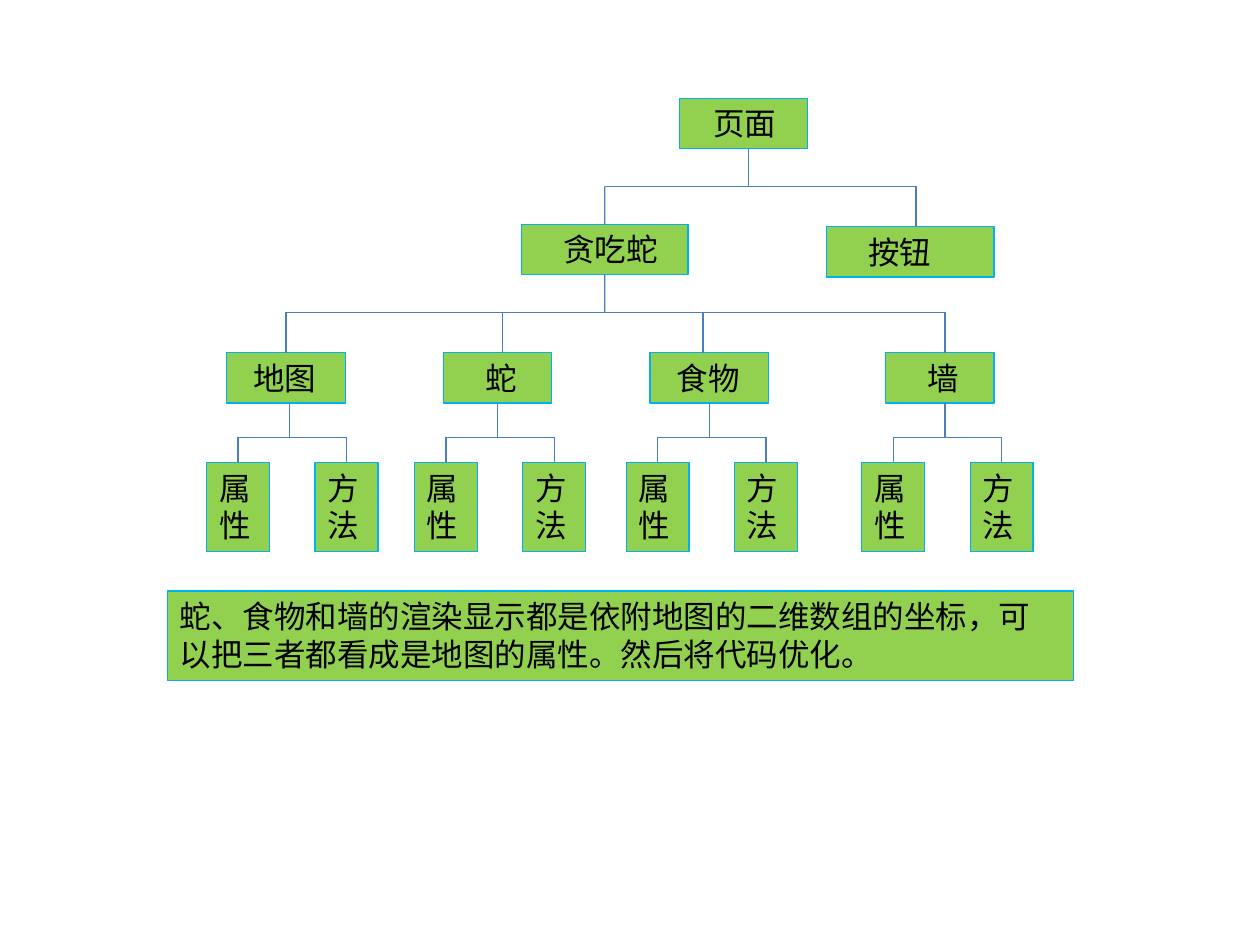
from lxml import etree
from pptx import Presentation
from pptx.dml.color import RGBColor
from pptx.enum.shapes import MSO_CONNECTOR, MSO_SHAPE
from pptx.enum.text import MSO_ANCHOR, PP_ALIGN
from pptx.oxml.ns import qn
from pptx.util import Inches, Pt

RECTANGLE = MSO_SHAPE.RECTANGLE
STRAIGHT = MSO_CONNECTOR.STRAIGHT
LEFT, TOP_ANCHOR = PP_ALIGN.LEFT, MSO_ANCHOR.TOP
TOP, BOTTOM = 0, 2  # connection sites of a rectangle
COLORS = {"fill": "92D050", "border": "00B0F0", "line": "4B7EBC", "text": "000000"}
NODE_HEIGHT, TALL_HEIGHT = 0.4, 0.71

presentation = Presentation()
presentation.slide_width, presentation.slide_height = Inches(10), Inches(7.5)
slide = presentation.slides.add_slide(presentation.slide_layouts[6])


def add_box(text, left, top, width, height=NODE_HEIGHT, inset=0.1, size=18, font="Calibri"):
    shape = slide.shapes.add_shape(
        RECTANGLE, Inches(left), Inches(top), Inches(width), Inches(height))
    shape.shadow.inherit = False
    shape.fill.solid()
    shape.fill.fore_color.rgb = RGBColor.from_string(COLORS["fill"])
    shape.line.color.rgb = RGBColor.from_string(COLORS["border"])
    shape.line.width = Pt(0.75)
    frame = shape.text_frame
    frame.word_wrap = True
    frame.vertical_anchor = TOP_ANCHOR
    frame.margin_left = Inches(inset)
    paragraph = frame.paragraphs[0]
    paragraph.alignment = LEFT
    run = paragraph.add_run()
    run.text = text
    run.font.size = Pt(size)
    run.font.name = font
    run.font.color.rgb = RGBColor.from_string(COLORS["text"])
    return shape


def add_line(start, end, shape=None, site=TOP):
    """Draw a line; with a shape given, join its end to that side."""
    connector = slide.shapes.add_connector(
        STRAIGHT, *[Inches(value) for value in (*start, *end)])
    connector.line.color.rgb = RGBColor.from_string(COLORS["line"])
    connector.line.width = Pt(0.75)
    etree.SubElement(connector._element.spPr, qn("a:effectLst"))
    if shape is not None:
        connector.end_connect(shape, site)


# Page and its two parts
page = add_box("页面", 5.39, 0.78, 1.02, inset=0.27)
snake_game = add_box("贪吃蛇", 4.14, 1.78, 1.32, inset=0.33)
button = add_box("按钮", 6.56, 1.8, 1.33, inset=0.33)
game_x, button_x, page_x, page_bus = 4.8, 7.27, 5.94, 1.48
add_line((game_x, page_bus), (button_x, page_bus))
add_line((page_x, page_bus), (page_x, 1.18))
add_line((game_x, page_bus), (game_x, 1.78), snake_game, TOP)
add_line((button_x, page_bus), (button_x, 1.8))

# Objects of the game: text, left, width, inset, x of line above, x of line below
OBJECTS = [
    ("地图", 1.8, 0.94, 0.21, 2.27, 2.3),
    ("蛇", 3.52, 0.86, 0.33, 3.99, 3.95),
    ("食物", 5.16, 0.94, 0.21, 5.58, 5.63),
    ("墙", 7.03, 0.86, 0.33, 7.5, 7.5),
]
game_bus, object_top = 2.48, 2.8
add_line((OBJECTS[0][4], game_bus), (OBJECTS[-1][4], game_bus))
add_line((game_x, game_bus), (game_x, 2.18), snake_game, BOTTOM)

# Each object with its properties and methods
member_bus, member_top, member_width, member_step = 3.47, 3.67, 0.5, 0.86
for text, left, width, inset, drop_x, stem_x in OBJECTS:
    node = add_box(text, left, object_top, width, inset=inset)
    middle = left + width / 2
    add_line((drop_x, game_bus), (drop_x, object_top),
             node if abs(drop_x - middle) < 0.01 else None, TOP)
    add_line((stem_x, member_bus), (stem_x, object_top + NODE_HEIGHT),
             node if abs(stem_x - middle) < 0.01 else None, BOTTOM)

    first_x = stem_x - 0.41
    add_line((first_x, member_bus), (first_x + member_step, member_bus))
    for index, member_text in enumerate(("属性", "方法")):
        member_x = first_x + index * member_step
        member = add_box(member_text, member_x - member_width / 2, member_top,
                         member_width, TALL_HEIGHT)
        add_line((member_x, member_bus), (member_x, member_top), member, TOP)

# Closing remark
add_box("蛇、食物和墙的渲染显示都是依附地图的二维数组的坐标，可以把三者都看成是地图的属性。然后将代码优化。",
        1.33, 4.69, 7.19, TALL_HEIGHT)

presentation.save("out.pptx")
